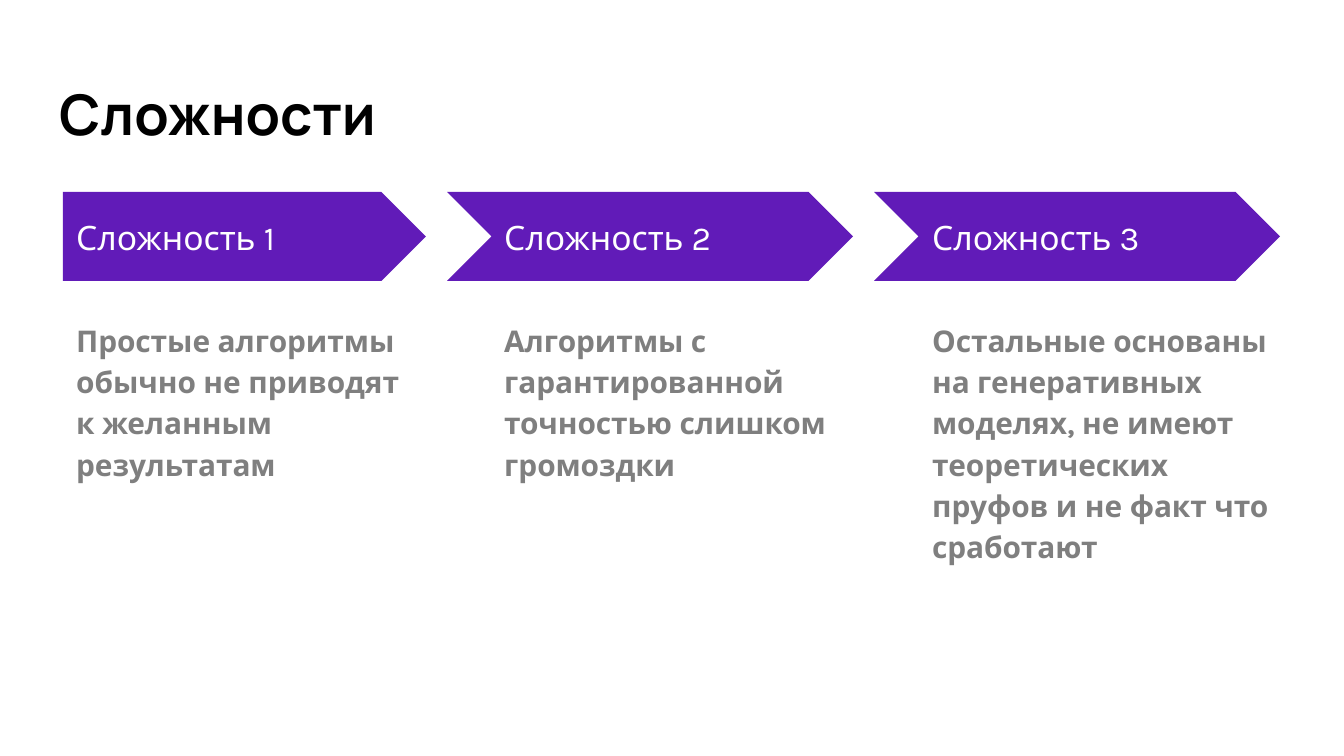
import pptx
import pptx.util
import pptx.dml.color
import pptx.enum.shapes
import pptx.enum.text

SCALE = 914400 / 134.4
SHAPE = pptx.enum.shapes.MSO_SHAPE
ANCHOR = pptx.enum.text.MSO_ANCHOR
PURPLE, GRAY, WHITE, BLACK = "611BB8", "7F7F7F", "FFFFFF", "000000"


def px(n):
    """Turn pixels into EMU."""
    return pptx.util.Emu(round(n * SCALE))


def color(value):
    """Turn a hex string into a colour."""
    return pptx.dml.color.RGBColor.from_string(value)


class Deck:
    """Hold the text style and the current slide."""

    def __init__(self, width, height, font):
        """Start a presentation with one blank slide."""
        self.prs = pptx.Presentation()
        self.prs.slide_width, self.prs.slide_height = px(width), px(height)
        self.s = self.prs.slides.add_slide(self.prs.slide_layouts[6])
        self.font = font

    def arrow(self, kind, x, y, w, h):
        """Add a filled arrow block."""
        sp = self.s.shapes.add_shape(kind, px(x), px(y), px(w), px(h))
        sp.shadow.inherit = False
        sp.fill.solid()
        sp.fill.fore_color.rgb = color(PURPLE)
        sp.line.fill.background()

    def text(self, text, x, y, w, h, size, fill, bold=False, font=None,
             anchor=ANCHOR.TOP, spacing=1.0):
        """Add a wrapped text box with one paragraph."""
        sp = self.s.shapes.add_textbox(px(x), px(y), px(w), px(h))
        tf = sp.text_frame
        tf.word_wrap = True
        tf.vertical_anchor = anchor
        tf.margin_left = tf.margin_right = pptx.util.Inches(0.1)
        tf.margin_top = tf.margin_bottom = pptx.util.Inches(0.1)
        tf.text = text
        p = tf.paragraphs[0]
        p.line_spacing = spacing
        r = p.runs[0]
        r.font.name = font or self.font
        r.font.size = pptx.util.Pt(size)
        r.font.bold = bold
        r.font.color.rgb = color(fill)


def main():
    """Build the slide with three difficulties."""
    deck = Deck(1344, 756, "Karla")
    deck.text("Сложности", 46, 66, 1253, 91, 30, BLACK, True, "Manrope")
    steps = [
        (SHAPE.PENTAGON, 363, "Простые алгоритмы обычно не приводят к желанным результатам"),
        (SHAPE.CHEVRON, 406, "Алгоритмы с гарантированной точностью слишком громоздки"),
        (SHAPE.CHEVRON, 406, "Остальные основаны на генеративных моделях, не имеют "
                             "теоретических пруфов и не факт что сработают"),
    ]
    for i, (kind, width, body) in enumerate(steps):
        left, tip = 63 + 428 * i, 426 + 427 * i
        deck.arrow(kind, tip - width, 192, width, 89)
        deck.text(f"Сложность {i + 1}", left, 214, 332, 46, 18, WHITE, anchor=ANCHOR.MIDDLE)
        deck.text(body, left, 304, 363, 390, 16, GRAY, True, spacing=1.15)
    deck.prs.save("out.pptx")


if __name__ == "__main__":
    main()
